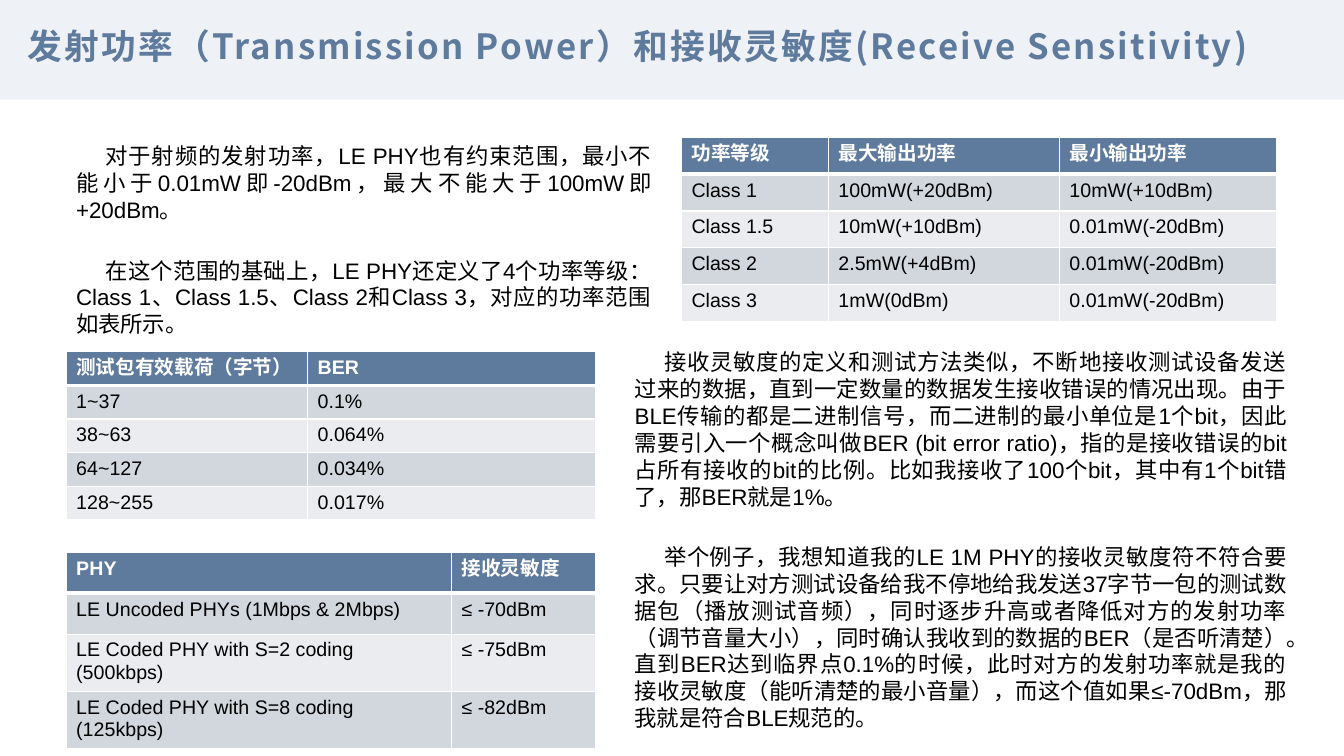
"""Build the slide on transmission power and receive sensitivity."""
from dataclasses import dataclass

from lxml import etree
from pptx import Presentation, util as u
from pptx.dml.color import RGBColor
from pptx.enum import shapes, text
from pptx.oxml.ns import qn

PX = 9525
BLUE, PALE, WHITE, BLACK = "5E7A9C", "EEF1F6", "FFFFFF", "000000"
BANDS = ("D2D7DE", "EAECEF")
BODY_FORMAT = {"alignment": text.PP_ALIGN.JUSTIFY, "space_after": u.Pt(12)}


@dataclass
class TextBlock:
    left: int
    top: int
    width: int
    height: int
    paragraphs: list[str]


@dataclass
class Grid:
    left: int
    top: int
    columns: list[int]
    row_height: int
    rows: list[list[str]]


BODIES = [
    TextBlock(63, 131, 567, 197, [
        "对于射频的发射功率，LE PHY也有约束范围，最小不能小于0.01mW即-20dBm，最大不能大于100mW即+20dBm。",
        "在这个范围的基础上，LE PHY还定义了4个功率等级：Class 1、Class 1.5、Class 2和Class 3，"
        "对应的功率范围如表所示。",
    ]),
    TextBlock(595, 327, 640, 378, [
        "接收灵敏度的定义和测试方法类似，不断地接收测试设备发送过来的数据，直到一定数量的数据发生接收错误的情况出现。"
        "由于BLE传输的都是二进制信号，而二进制的最小单位是1个bit，因此需要引入一个概念叫做BER (bit error ratio)，"
        "指的是接收错误的bit占所有接收的bit的比例。比如我接收了100个bit，其中有1个bit错了，那BER就是1%。",
        "举个例子，我想知道我的LE 1M PHY的接收灵敏度符不符合要求。只要让对方测试设备给我不停地给我发送37字节一包的"
        "测试数据包（播放测试音频），同时逐步升高或者降低对方的发射功率（调节音量大小），同时确认我收到的数据的BER"
        "（是否听清楚）。直到BER达到临界点0.1%的时候，此时对方的发射功率就是我的接收灵敏度（能听清楚的最小音量），"
        "而这个值如果≤-70dBm，那我就是符合BLE规范的。",
    ]),
]

GRIDS = [
    Grid(649, 131, [140, 220, 207], 35, [
        ["功率等级", "最大输出功率", "最小输出功率"],
        ["Class 1", "100mW(+20dBm)", "10mW(+10dBm)"],
        ["Class 1.5", "10mW(+10dBm)", "0.01mW(-20dBm)"],
        ["Class 2", "2.5mW(+4dBm)", "0.01mW(-20dBm)"],
        ["Class 3", "1mW(0dBm)", "0.01mW(-20dBm)"],
    ]),
    Grid(63, 335, [230, 274], 32, [
        ["测试包有效载荷（字节）", "BER"],
        ["1~37", "0.1%"],
        ["38~63", "0.064%"],
        ["64~127", "0.034%"],
        ["128~255", "0.017%"],
    ]),
    Grid(63, 526, [367, 137], 39, [
        ["PHY", "接收灵敏度"],
        ["LE Uncoded PHYs (1Mbps & 2Mbps)", "≤ -70dBm"],
        ["LE Coded PHY with S=2 coding (500kbps)", "≤ -75dBm"],
        ["LE Coded PHY with S=8 coding (125kbps)", "≤ -82dBm"],
    ]),
]


def px(*lengths: int) -> list[int]:
    """Turn px lengths into EMU."""
    return [u.Emu(length * PX) for length in lengths]


def apply(target, values: dict) -> None:
    """Set each named attribute on the target."""
    for name, value in values.items():
        setattr(target, name, value)


def paint(fill, color: str) -> None:
    """Give a fill one solid colour."""
    fill.solid()
    fill.fore_color.rgb = RGBColor.from_string(color)


def add_run(paragraph, words: str, size: float, color: str, bold: bool = False, face: str = "Arial"):
    """Add a styled run that uses one face for all scripts."""
    run = paragraph.add_run()
    run.text = words
    apply(run.font, {"size": u.Pt(size), "bold": bold, "name": face})
    run.font.color.rgb = RGBColor.from_string(color)
    etree.SubElement(run.font._element, qn("a:ea"), typeface=face)
    return run


def add_header(slide) -> None:
    """Draw the banner and its title."""
    banner = slide.shapes.add_shape(shapes.MSO_SHAPE.RECTANGLE, *px(0, 0, 1280, 95))
    banner.shadow.inherit = False
    paint(banner.fill, PALE)
    banner.line.fill.background()
    frame = slide.shapes.add_textbox(*px(19, 15, 1184, 64)).text_frame
    side, edge = px(7, 3)
    apply(frame, {"word_wrap": True, "vertical_anchor": text.MSO_ANCHOR.MIDDLE,
                  "margin_left": side, "margin_right": side,
                  "margin_top": edge, "margin_bottom": edge})
    paragraph = frame.paragraphs[0]
    paragraph.line_spacing = 0.8
    run = add_run(paragraph, "发射功率（Transmission Power）和接收灵敏度(Receive Sensitivity)",
                  24.8, BLUE, True, "Noto Sans CJK SC")
    run.font._element.set("spc", "160")


def add_body(slide, block: TextBlock) -> None:
    """Draw justified paragraphs with a first-line indent."""
    box = slide.shapes.add_textbox(*px(block.left, block.top, block.width, block.height))
    frame = box.text_frame
    apply(frame, {"word_wrap": True, "auto_size": text.MSO_AUTO_SIZE.SHAPE_TO_FIT_TEXT})
    for index, words in enumerate(block.paragraphs):
        paragraph = frame.add_paragraph() if index else frame.paragraphs[0]
        apply(paragraph, BODY_FORMAT | {"space_before": u.Pt(12 if index else 0)})
        paragraph._p.get_or_add_pPr().set("indent", str(28 * PX))
        add_run(paragraph, words, 16, BLACK)


def add_borders(cell, is_header: bool) -> None:
    """Outline a cell in white, with a thick rule under the header."""
    properties = cell._tc.get_or_add_tcPr()
    widths = {"lnL": 1, "lnR": 1, "lnT": 1, "lnB": 3 if is_header else 1}
    for position, (side, width) in enumerate(widths.items()):
        line = etree.Element(qn(f"a:{side}"), w=str(u.Pt(width)))
        fill = etree.SubElement(line, qn("a:solidFill"))
        etree.SubElement(fill, qn("a:srgbClr"), val=WHITE)
        properties.insert(position, line)


def add_grid(slide, grid: Grid) -> None:
    """Draw a banded table with a dark header row."""
    size = px(sum(grid.columns), grid.row_height * len(grid.rows))
    table = slide.shapes.add_table(len(grid.rows), len(grid.columns),
                                   *px(grid.left, grid.top), *size).table
    for column, width in zip(table.columns, px(*grid.columns)):
        column.width = width
    for row, values in enumerate(grid.rows):
        table.rows[row].height = px(grid.row_height)[0]
        is_header = row == 0
        for column, words in enumerate(values):
            cell = table.cell(row, column)
            paint(cell.fill, BLUE if is_header else BANDS[(row - 1) % 2])
            add_borders(cell, is_header)
            add_run(cell.text_frame.paragraphs[0], words, 14,
                    WHITE if is_header else BLACK, is_header)


def main() -> None:
    """Assemble and save the presentation."""
    presentation = Presentation()
    presentation.slide_width, presentation.slide_height = px(1280, 720)
    slide = presentation.slides.add_slide(presentation.slide_layouts[6])
    add_header(slide)
    for block in BODIES:
        add_body(slide, block)
    for grid in GRIDS:
        add_grid(slide, grid)
    presentation.save("out.pptx")


if __name__ == "__main__":
    main()
